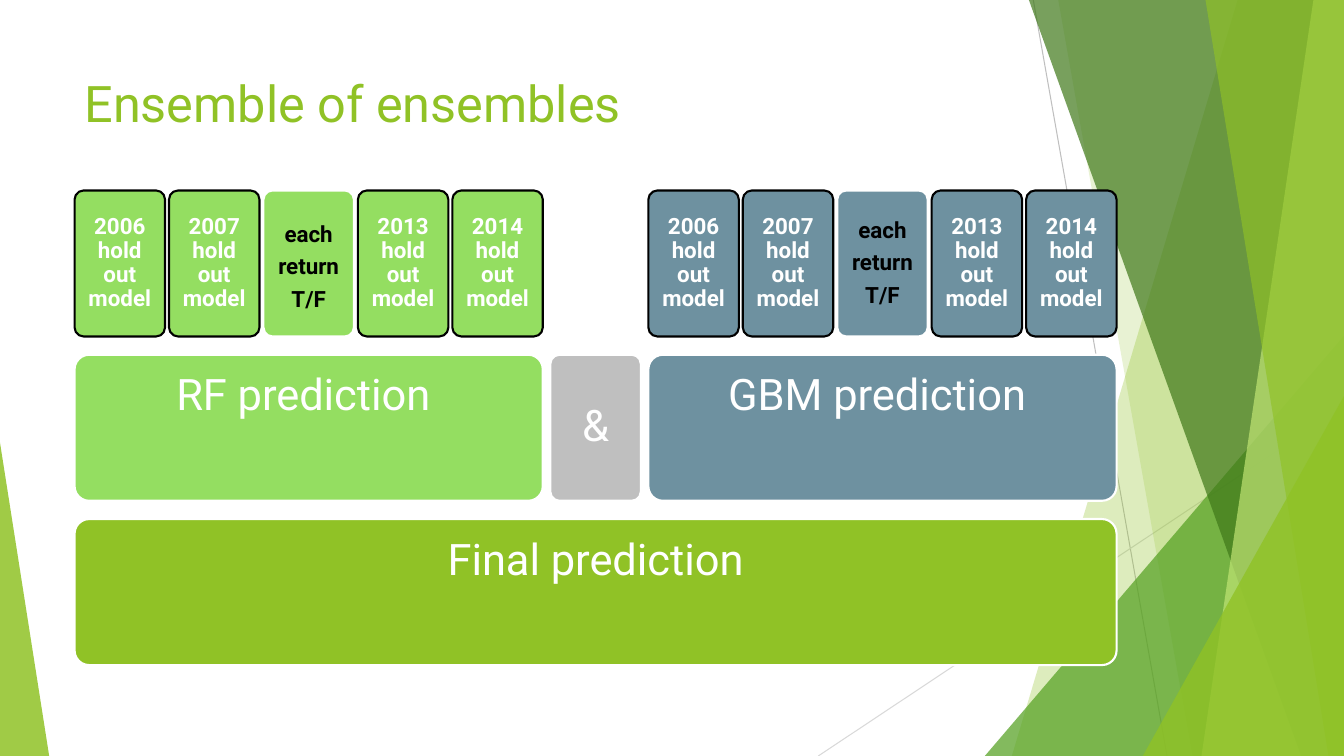
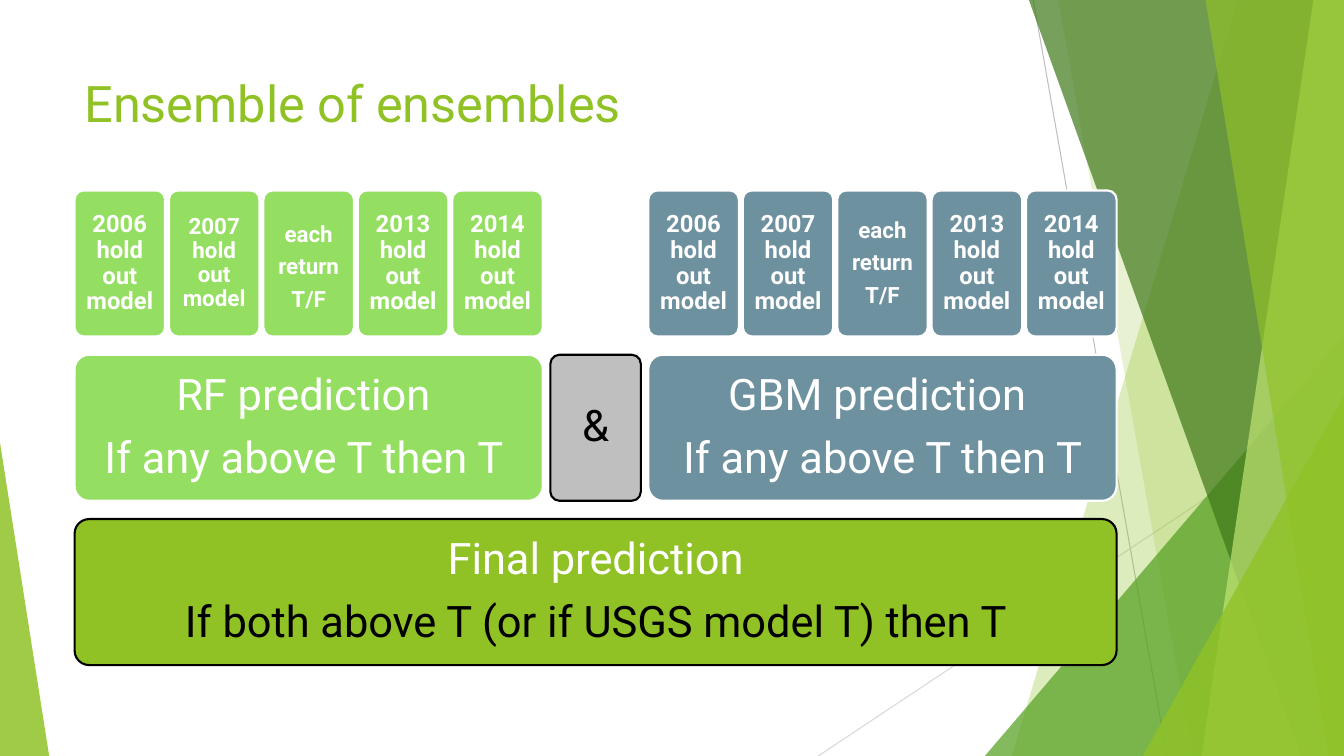
from dataclasses import dataclass

from lxml import etree
from pptx import Presentation
from pptx.dml.color import RGBColor
from pptx.enum.shapes import MSO_CONNECTOR, MSO_SHAPE
from pptx.enum.text import MSO_ANCHOR, PP_ALIGN
from pptx.oxml.ns import qn
from pptx.util import Cm, Pt

STRAIGHT = MSO_CONNECTOR.STRAIGHT
ROUND_RECT = MSO_SHAPE.ROUNDED_RECTANGLE
TRIANGLE = MSO_SHAPE.ISOSCELES_TRIANGLE
MIDDLE = MSO_ANCHOR.MIDDLE
CENTER = PP_ALIGN.CENTER


@dataclass(frozen=True)
class Theme:
    font: str = "Roboto"
    white: str = "FFFFFF"
    black: str = "000000"
    accent: str = "90C226"
    leaf: str = "54A021"
    forest: str = "3F7819"
    lime: str = "C0E474"
    rf: str = "94DE61"
    gbm: str = "6E91A0"
    gray: str = "BFBFBF"
    pale_gray: str = "D9D9D9"
    title_size: int = 36
    large_size: int = 31
    cell_size: int = 16
    cell_size_big: int = 17
    outline: float = 1.5
    hairline: float = 0.75
    line_spacing: float = 0.9
    para_gap: float = 0.375


@dataclass(frozen=True)
class Ray:
    x1: float
    y1: float
    x2: float
    y2: float
    color: str


@dataclass(frozen=True)
class Band:
    top_x: float
    bottom_x: float
    color: str
    alpha: int


@dataclass(frozen=True)
class Wedge:
    left: float
    top: float
    width: float
    apex: int
    color: str
    alpha: int


@dataclass(frozen=True)
class Line:
    text: str
    color: str


@dataclass(frozen=True)
class Box:
    left: float
    top: float
    width: float
    fill: str
    outline: str
    lines: list[Line]
    size: int
    pad: float
    bold: bool = False
    extra_top: float = 0
    extra_bottom: float = 0


@dataclass(frozen=True)
class Model:
    name: str
    left: float
    fill: str
    rule: str
    small_years: tuple[str, ...]
    extra_top: float


T = Theme()
WIDTH, HEIGHT = 33.87, 19.05
LEFT, TOP, ROW_PITCH, BOX_H = 1.88, 4.8, 4.14, 3.68
CELL_W, CELL_PITCH, GAP = 2.28, 2.38, 0.19
CELL_PAD, LARGE_PAD = 0.18, 0.33
HIDDEN_RULE = 1.56
CELLS = ("2006", "2007", "", "2013", "2014")
GROUP_W = CELL_PITCH * (len(CELLS) - 1) + CELL_W
AND_LEFT = LEFT + GROUP_W + GAP
GBM_LEFT = AND_LEFT + CELL_W + GAP
FULL_W = GBM_LEFT + GROUP_W - LEFT

MODELS = (
    Model("RF prediction ", LEFT, T.rf, "If any above T then T ", ("2007",), 0.2),
    Model("GBM prediction ", GBM_LEFT, T.gbm, "If any above T then T", (), 0),
)
RAYS = (
    Ray(26.04, 0, 29.41, HEIGHT, T.gray),
    Ray(WIDTH, 10.24, 20.62, HEIGHT, T.pale_gray),
)
FACETS = (
    Band(31.19, 25.5, T.accent, 30),
    Band(26.67, 30.05, T.accent, 20),
    Wedge(24.82, 8.46, 9.05, 1, T.leaf, 72),
    Band(25.93, 32.79, T.forest, 70),
    Band(33.1, 30.28, T.lime, 70),
    Band(30.38, 33.48, T.accent, 65),
    Wedge(28.8, 9.98, 5.07, 1, T.accent, 80),
    Wedge(0, 11.15, 1.24, 0, T.accent, 85),
)


def rgb(color: str) -> RGBColor:
    return RGBColor.from_string(color)


def paint(sp, color: str) -> None:
    sp.shadow.inherit = False
    sp.fill.solid()
    sp.fill.fore_color.rgb = rgb(color)


def add_ray(slide, ray: Ray) -> None:
    cx = slide.shapes.add_connector(
        STRAIGHT, Cm(ray.x1), Cm(ray.y1), Cm(ray.x2), Cm(ray.y2)
    )
    cx.line.color.rgb = rgb(ray.color)
    cx.line.width = Pt(T.hairline)
    etree.SubElement(cx._element.spPr, qn("a:effectLst"))


def add_facet(slide, facet: Band | Wedge) -> None:
    if isinstance(facet, Band):
        fb = slide.shapes.build_freeform(Cm(facet.top_x), 0)
        corners = ((WIDTH, 0), (WIDTH, HEIGHT), (facet.bottom_x, HEIGHT))
        fb.add_line_segments([(Cm(x), Cm(y)) for x, y in corners], close=True)
        sp = fb.convert_to_shape()
    else:
        sp = slide.shapes.add_shape(
            TRIANGLE, Cm(facet.left), Cm(facet.top),
            Cm(facet.width), Cm(HEIGHT - facet.top),
        )
        sp.adjustments[0] = facet.apex
    paint(sp, facet.color)
    sp.line.fill.background()
    clr = sp._element.spPr.find(qn("a:solidFill"))[0]
    etree.SubElement(clr, qn("a:alpha"), val=str(facet.alpha * 1000))


def add_run(p, line: Line, size: int, bold: bool = False) -> None:
    r = p.add_run()
    r.text = line.text
    r.font.name = T.font
    r.font.size = Pt(size)
    r.font.bold = bold
    r.font.color.rgb = rgb(line.color)


def add_title(slide, text: str) -> None:
    sp = slide.shapes.add_textbox(Cm(LEFT), Cm(1.7), Cm(23.88), Cm(2.24))
    tf = sp.text_frame
    tf.word_wrap = True
    add_run(tf.paragraphs[0], Line(text, T.accent), T.title_size)


def add_box(slide, box: Box) -> None:
    sp = slide.shapes.add_shape(
        ROUND_RECT, Cm(box.left), Cm(box.top), Cm(box.width), Cm(BOX_H)
    )
    sp.adjustments[0] = 0.1
    paint(sp, box.fill)
    sp.line.color.rgb = rgb(box.outline)
    sp.line.width = Pt(T.outline)
    tf = sp.text_frame
    tf.word_wrap = True
    tf.vertical_anchor = MIDDLE
    tf.margin_left = tf.margin_right = Cm(box.pad)
    tf.margin_top = Cm(box.pad + box.extra_top)
    tf.margin_bottom = Cm(box.pad + box.extra_bottom)
    for i, line in enumerate(box.lines):
        p = tf.add_paragraph() if i else tf.paragraphs[0]
        p.alignment = CENTER
        p.line_spacing = T.line_spacing
        if i:
            p.space_before = Pt(box.size * T.para_gap)
        add_run(p, line, box.size, box.bold)


def add_prediction(
    slide, left: float, row: int, width: float, fill: str, outline: str,
    lines: list[Line], extra_bottom: float,
) -> None:
    add_box(slide, Box(
        left, TOP + row * ROW_PITCH, width, fill, outline, lines,
        T.large_size, LARGE_PAD, extra_bottom=extra_bottom,
    ))


def add_cells(slide, model: Model, final_step: bool) -> None:
    mark = T.white if final_step else T.black
    for i, year in enumerate(CELLS):
        big = final_step and year and year not in model.small_years
        if year:
            lines = [Line(f"{year} hold out model", T.white)]
        else:
            lines = [Line(word, mark) for word in ("each", "return", "T/F")]
        add_box(slide, Box(
            model.left + i * CELL_PITCH, TOP, CELL_W, model.fill,
            mark if year else T.white, lines,
            T.cell_size_big if big else T.cell_size, CELL_PAD, bold=True,
            extra_top=0 if year else model.extra_top,
        ))


def add_ensemble_slide(prs, final_step: bool) -> None:
    slide = prs.slides.add_slide(prs.slide_layouts[6])
    for ray in RAYS:
        add_ray(slide, ray)
    for facet in FACETS:
        add_facet(slide, facet)
    add_title(slide, "Ensemble of ensembles")

    shown = 2 if final_step else 1
    extra_bottom = 0 if final_step else HIDDEN_RULE
    mark = T.black if final_step else T.white
    final = [
        Line("Final prediction", T.white),
        Line("If both above T (or if USGS model T) then T", T.black),
    ]
    add_prediction(
        slide, LEFT, 2, FULL_W, T.accent, mark, final[:shown], extra_bottom
    )
    for model in MODELS:
        lines = [Line(model.name, T.white), Line(model.rule, T.white)]
        add_prediction(
            slide, model.left, 1, GROUP_W, model.fill, T.white,
            lines[:shown], extra_bottom,
        )
        add_cells(slide, model, final_step)
    add_prediction(
        slide, AND_LEFT, 1, CELL_W, T.gray, mark, [Line("&", mark)], 0
    )


def main() -> None:
    prs = Presentation()
    prs.slide_width, prs.slide_height = Cm(WIDTH), Cm(HEIGHT)
    for final_step in (False, True):
        add_ensemble_slide(prs, final_step)
    prs.save("out.pptx")


if __name__ == "__main__":
    main()
